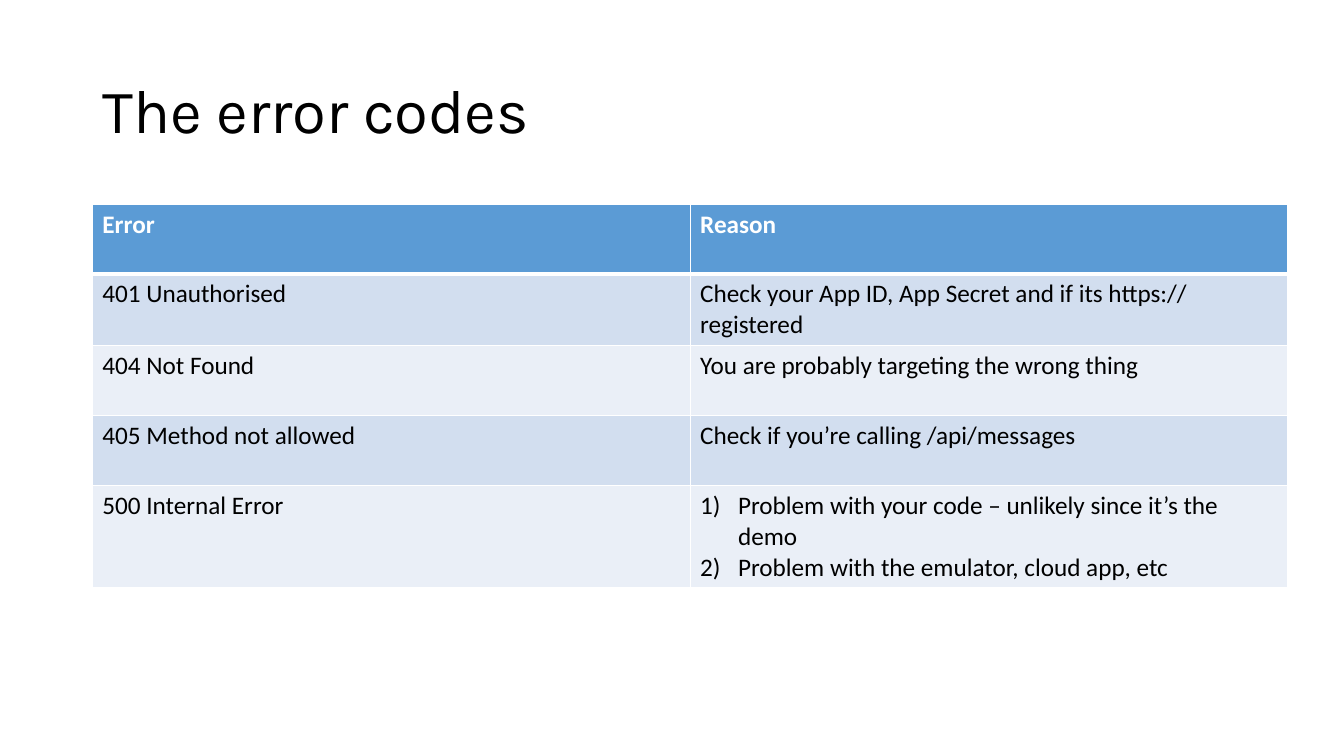
import pptx
import pptx.dml.color
import pptx.enum.text
import pptx.oxml.ns
import pptx.util
from lxml import etree

Pt = pptx.util.Pt
BLACK, WHITE = "000000", "FFFFFF"
HEADER_FILL = "5B9BD5"
BAND_FILLS = ("D2DEEF", "EAEFF7")
COLUMN_WIDTH, ROW_HEIGHT = 427, 50
NUMBER_INDENT = 27

ROWS = [
    ("Error", "Reason"),
    ("401 Unauthorised", "Check your App ID, App Secret and if its https:// registered"),
    ("404 Not Found", "You are probably targeting the wrong thing"),
    ("405 Method not allowed", "Check if you’re calling /api/messages"),
    ("500 Internal Error", [
        "Problem with your code – unlikely since it’s the demo",
        "Problem with the emulator, cloud app, etc",
    ]),
]


def color(value):
    return pptx.dml.color.RGBColor.from_string(value)


def add_span(para, text, font, size, value, bold=False):
    span = para.add_run()
    span.text = text
    span.font.name = font
    span.font.size = Pt(size)
    span.font.bold = bold
    span.font.color.rgb = color(value)


def add_child(parent, tag, **attributes):
    child = etree.SubElement(parent, pptx.oxml.ns.qn(tag))
    for name, value in attributes.items():
        child.set(name, str(value))
    return child


def add_borders(cell, bottom_width):
    properties = cell._tc.get_or_add_tcPr()
    for side, width in (("L", 1), ("R", 1), ("T", 1), ("B", bottom_width)):
        line = add_child(properties, f"a:ln{side}", w=Pt(width))
        add_child(add_child(line, "a:solidFill"), "a:srgbClr", val=WHITE)


def number_paragraph(para):
    properties = para._p.get_or_add_pPr()
    properties.set("marL", str(Pt(NUMBER_INDENT)))
    properties.set("indent", str(Pt(-NUMBER_INDENT)))
    add_child(properties, "a:buFont", typeface="+mj-lt")
    add_child(properties, "a:buAutoNum", type="arabicParenR")


def fill_cell(cell, content, header, fill):
    """Style a cell and write its text; a list becomes numbered paragraphs."""
    add_borders(cell, 3 if header else 1)
    cell.fill.solid()
    cell.fill.fore_color.rgb = color(fill)
    numbered = isinstance(content, list)
    for index, text in enumerate(content if numbered else [content]):
        frame = cell.text_frame
        para = frame.add_paragraph() if index else frame.paragraphs[0]
        if numbered:
            number_paragraph(para)
        add_span(para, text, "Calibri", 18, WHITE if header else BLACK, header)


def add_title(page, text):
    title = page.shapes.title
    title.left, title.top, title.width, title.height = Pt(66), Pt(28.75), Pt(828), Pt(104.38)
    title.text_frame.vertical_anchor = pptx.enum.text.MSO_ANCHOR.MIDDLE
    para = title.text_frame.paragraphs[0]
    para.alignment = pptx.enum.text.PP_ALIGN.LEFT
    para.line_spacing = 0.9
    add_span(para, text, "Karla", 44, BLACK)


def add_error_table(page):
    columns = len(ROWS[0])
    table = page.shapes.add_table(
        len(ROWS), columns, Pt(66), Pt(145.7),
        Pt(columns * COLUMN_WIDTH), Pt(len(ROWS) * ROW_HEIGHT),
    ).table
    for row, contents in enumerate(ROWS):
        fill = BAND_FILLS[(row - 1) % 2] if row else HEADER_FILL
        for column, content in enumerate(contents):
            fill_cell(table.cell(row, column), content, row == 0, fill)


def main():
    deck = pptx.Presentation()
    deck.slide_width, deck.slide_height = Pt(960), Pt(540)
    page = deck.slides.add_slide(deck.slide_layouts[5])
    add_title(page, "The error codes")
    add_error_table(page)
    deck.save("out.pptx")


if __name__ == "__main__":
    main()
